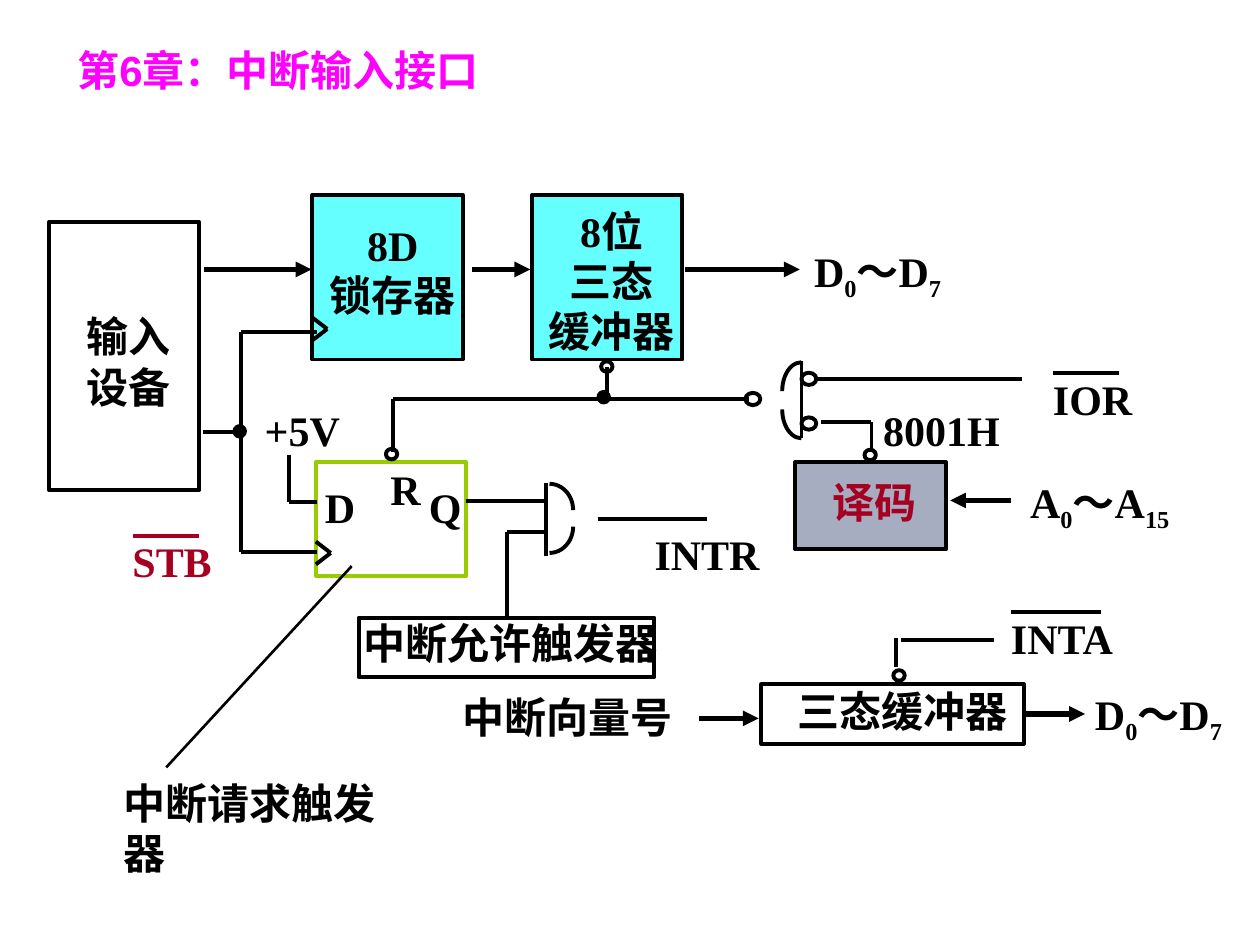
from lxml.etree import SubElement
from pptx import Presentation
from pptx.dml.color import RGBColor
from pptx.enum.shapes import MSO_CONNECTOR, MSO_SHAPE
from pptx.enum.text import MSO_ANCHOR, PP_ALIGN
from pptx.oxml.ns import qn
from pptx.util import Pt

BLACK, RED, CYAN = "000000", "A50021", "66FFFF"
LEFT, CENTER, RIGHT = PP_ALIGN.LEFT, PP_ALIGN.CENTER, PP_ALIGN.RIGHT


def color(value):
    """Turn a hex string into a colour."""
    return RGBColor.from_string(value)


def style_font(font, name, ink):
    """Apply the slide's bold 24 pt type."""
    font.name, font.size, font.bold = name, Pt(24), True
    font.color.rgb = color(ink)


def add_title(s, text):
    """Place and format the title placeholder."""
    sp = s.shapes.title
    sp.left, sp.top, sp.width, sp.height = Pt(37), Pt(20), Pt(648), Pt(40)
    tf = sp.text_frame
    tf.text = text
    tf.vertical_anchor = MSO_ANCHOR.MIDDLE
    p = tf.paragraphs[0]
    p.alignment = LEFT
    style_font(p.runs[0].font, "Arial", "FF00FF")


def add_shape(s, kind, box, fill=None, line=BLACK):
    """Draw an outlined preset shape."""
    sp = s.shapes.add_shape(kind, *map(Pt, box))
    sp.shadow.inherit = False
    if fill:
        sp.fill.solid()
        sp.fill.fore_color.rgb = color(fill)
    else:
        sp.fill.background()
    sp.line.color.rgb = color(line)
    sp.line.width = Pt(2.25)
    return sp


def add_arc(s, cx, cy, rx, ry, start):
    """Draw a quarter arc clockwise from a start angle in degrees."""
    sp = add_shape(s, MSO_SHAPE.ARC, (cx - rx, cy - ry, 2 * rx, 2 * ry))
    sp.adjustments[0] = start * 0.6
    sp.adjustments[1] = (start + 90) % 360 * 0.6


def add_text(s, box, text, align=LEFT, ink=BLACK, wrap=True):
    """Add a label, one paragraph per line."""
    tf = s.shapes.add_textbox(*map(Pt, box)).text_frame
    tf.word_wrap = wrap
    tf.margin_left = tf.margin_right = tf.margin_top = tf.margin_bottom = Pt(0.72)
    tf.text = text
    for p in tf.paragraphs:
        p.alignment = align
        style_font(p.runs[0].font, "Times New Roman", ink)
    return tf


def add_range(s, box, letter, last):
    """Add a signal range with subscript indices."""
    p = add_text(s, box, letter).paragraphs[0]
    for text, sub in (("0", True), (f"～{letter}", False), (last, True)):
        r = p.add_run()
        r.text = text
        style_font(r.font, "Times New Roman", BLACK)
        if sub:
            r.font._element.set("baseline", "-25000")


def add_line(s, x1, y1, x2, y2, width=2.25, ink=BLACK, arrow=False):
    """Draw a straight wire, with an arrowhead if asked."""
    c = s.shapes.add_connector(MSO_CONNECTOR.STRAIGHT, Pt(x1), Pt(y1), Pt(x2), Pt(y2))
    c.line.color.rgb = color(ink)
    c.line.width = Pt(width)
    if arrow:
        SubElement(c.line._get_or_add_ln(), qn("a:tailEnd"), type="triangle")
    SubElement(c._element.spPr, qn("a:effectLst"))
    return c


def add_wire(s, *points):
    """Draw a wire through several points."""
    for start, end in zip(points, points[1:]):
        add_line(s, *start, *end)


def add_blocks(s):
    """Draw the blocks and return the two that wires join."""
    rect = MSO_SHAPE.RECTANGLE
    add_shape(s, rect, (28, 127, 86, 153))
    for x in (178.5, 304):
        add_shape(s, rect, (x, 111.5, 86, 94), CYAN)
    add_shape(s, rect, (454.5, 264, 86, 50), "A6ADC0")
    add_shape(s, rect, (180.5, 264, 86, 65), line="99CC00")
    enable = add_shape(s, rect, (205, 353, 169, 34))
    vector = add_shape(s, rect, (435, 391, 150, 34))
    return enable, vector


def add_wires(s, enable, vector):
    """Draw the wires, clock marks and arrows."""
    add_wire(s, (181, 189.5), (137.5, 189.5), (137.5, 315.5), (181, 315.5))
    add_wire(s, (116, 247), (137.5, 247))
    add_wire(s, (165, 260), (165, 287), (181, 287))
    add_wire(s, (224.5, 258.5), (224.5, 228), (428, 228))
    add_wire(s, (347, 228), (347, 210))
    add_wire(s, (266.5, 286.5), (312.5, 286.5))
    add_wire(s, (466.5, 216.5), (584, 216.5))
    add_wire(s, (469, 241), (498, 241), (498, 258.5))
    add_wire(s, (512, 381), (512, 364.5))
    add_wire(s, (515, 365.5), (568, 365.5))
    add_wire(s, (289.5, 304), (312, 304))
    add_line(s, 289.5, 353, 289.5, 304).begin_connect(enable, 0)
    for x, y in ((178.5, 188), (180.5, 316)):
        add_wire(s, (x, y + 6.5), (x + 8.5, y), (x, y - 6.5))
    for x1, x2, y in ((116.5, 178, 154), (269.5, 303, 154), (391.5, 457, 154),
                      (578, 543, 286), (399.5, 433.5, 410.5)):
        add_line(s, x1, y, x2, y, 3, arrow=True)
    add_line(s, 585, 408, 620, 408, 3, arrow=True).begin_connect(vector, 3)
    add_line(s, 201, 323.5, 95, 438.5, 1.5)


def add_gates(s):
    """Draw both gates, the inversion bubbles and the junction dots."""
    add_wire(s, (312, 276), (312, 317.5))
    add_arc(s, 314, 291.5, 13.5, 15, 270)
    add_arc(s, 314, 301, 13.5, 15, 0)
    add_wire(s, (458, 206.5), (458, 250.5))
    add_arc(s, 458, 223.5, 11, 16.5, 180)
    add_arc(s, 458, 234, 11, 16.5, 90)
    oval = MSO_SHAPE.OVAL
    for x, y in ((510.5, 383), (343.5, 206.5), (494, 257), (220.5, 256.5)):
        add_shape(s, oval, (x, y, 6.5, 6))
    for x, y in ((426, 224.5), (458, 213), (458, 238.5)):
        add_shape(s, oval, (x, y, 8.5, 7))
    for x, y in ((342, 224), (134, 243.5)):
        add_shape(s, oval, (x, y, 6, 6), BLACK)


def add_labels(s):
    """Add the block names and signal names."""
    for box, text in (
        ((22, 177, 103, 78), "输入\n设备"),
        ((173, 124.5, 103, 65.5), "8D\n锁存器"),
        ((298, 116.5, 103, 93.5), "8位\n三态\n缓冲器"),
        ((425, 391, 181, 34), "三态缓冲器"),
        ((201, 352, 181, 34), "中断允许触发器"),
        ((251, 394.5, 146, 38), "中断向量号"),
        ((141, 230.5, 63.5, 34.5), "+5V"),
        ((217, 264, 29.5, 29), "R"),
        ((367, 301, 74, 29), "INTR"),
    ):
        add_text(s, box, text, CENTER)
    add_text(s, (448.5, 271.5, 103, 34.5), "译码", CENTER, RED)
    add_text(s, (185, 274.5, 42, 29), "D")
    add_text(s, (222.5, 274.5, 42, 29), "Q", RIGHT)
    add_text(s, (504, 230.5, 91.5, 29), "8001H")
    add_text(s, (70, 443.5, 169, 30), "中断请求触发器", wrap=False)
    for x, y, bar, text, ink in ((601, 212.5, 37.5, "IOR", BLACK),
                                 (577, 349, 51, "INTA", BLACK),
                                 (75, 305.5, 38, "STB", RED)):
        add_text(s, (x, y, 75, 34.5), text, ink=ink)
        add_line(s, x + 1, y + 0.75, x + 1 + bar, y + 0.75, ink=ink)
    add_line(s, 341.5, 296.5, 404, 296.5)
    add_range(s, (464.5, 139.5, 91.5, 39.5), "D", "7")
    add_range(s, (625, 392.5, 91.5, 42.5), "D", "7")
    add_range(s, (588, 271.5, 105, 47.5), "A", "15")


def main():
    """Build the interrupt input interface slide."""
    prs = Presentation()
    prs.slide_width, prs.slide_height = Pt(720), Pt(540)
    s = prs.slides.add_slide(prs.slide_layouts[5])
    add_title(s, "第6章：中断输入接口")
    enable, vector = add_blocks(s)
    add_wires(s, enable, vector)
    add_gates(s)
    add_labels(s)
    prs.save("out.pptx")


if __name__ == "__main__":
    main()
